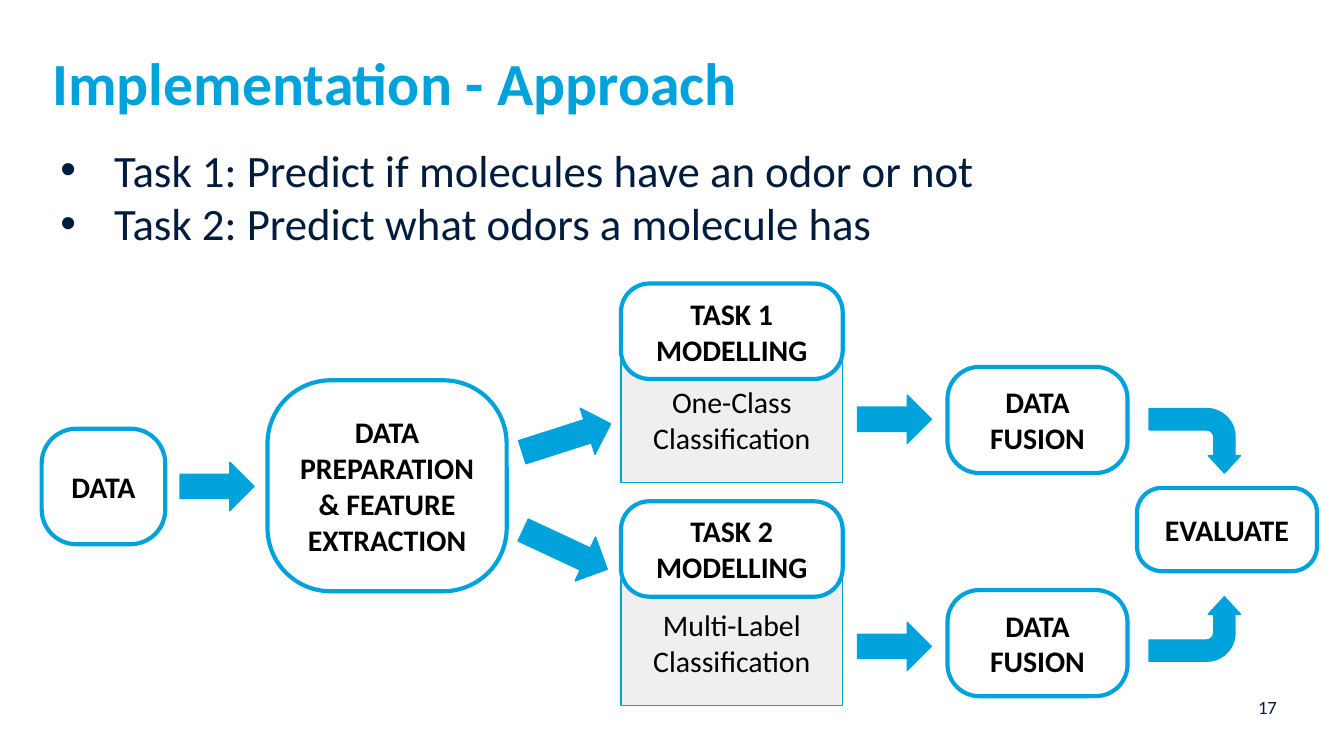
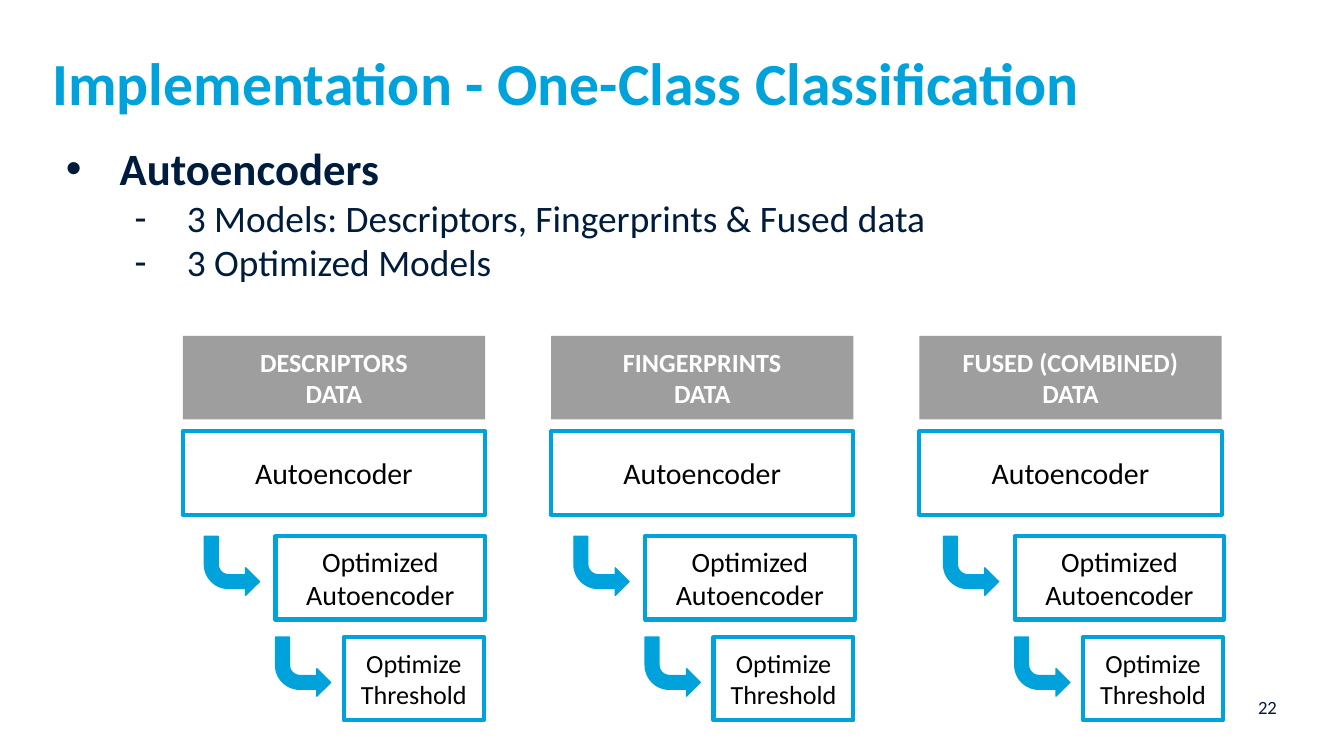
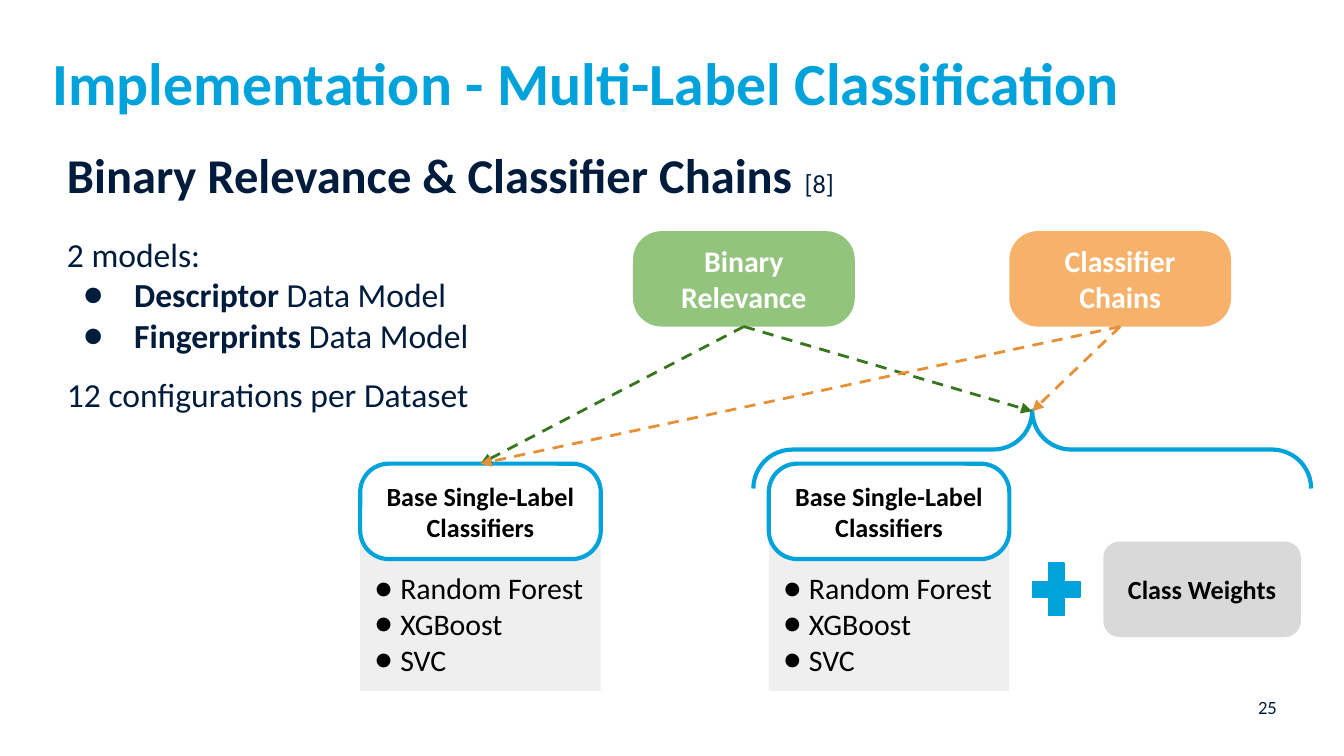
from dataclasses import dataclass

from pptx import Presentation
from pptx.dml.color import RGBColor
from pptx.enum.dml import MSO_LINE
from pptx.enum.shapes import MSO_CONNECTOR, MSO_SHAPE
from pptx.enum.text import MSO_ANCHOR, PP_ALIGN
from pptx.oxml.ns import qn
from pptx.util import Inches, Pt
from lxml.etree import SubElement

FONT = "Calibri"
BULLET_FONTS = {"•": "Arial", "-": "Arial", "●": FONT}
COLORS = {
    "accent": "00A2DB",
    "navy": "001C3D",
    "black": "000000",
    "white": "FFFFFF",
    "pale": "EFEFEF",
    "silver": "D9D9D9",
    "gray": "9E9E9E",
    "green": "93C47D",
    "orange": "F6B26B",
    "dark_green": "38761D",
    "dark_orange": "E69138",
}
ROUNDING = 0.3
BOTTOM, TOP = 2, 0


@dataclass
class Run:
    """A stretch of text in one style."""
    text: str
    size: float
    color: str = "navy"
    bold: bool = False


@dataclass
class Line:
    """A paragraph of runs with its bullet and spacing."""
    runs: list
    bullet: str = ""
    indent: float = 0
    hanging: float = 0
    space_before: float = 0


def rgb(name):
    """Return the named colour."""
    return RGBColor.from_string(COLORS[name])


def add_bullet(paragraph, line):
    """Give a paragraph its bullet and hanging indent."""
    properties = paragraph._p.get_or_add_pPr()
    properties.set("marL", str(Inches(line.indent)))
    properties.set("indent", str(-Inches(line.hanging)))
    color = SubElement(properties, qn("a:buClr"))
    SubElement(color, qn("a:srgbClr")).set("val", COLORS[line.runs[0].color])
    SubElement(properties, qn("a:buFont")).set("typeface", BULLET_FONTS[line.bullet])
    SubElement(properties, qn("a:buChar")).set("char", line.bullet)


def write_lines(shape, lines, alignment, anchor, inset):
    """Fill a shape's text frame with lines."""
    frame = shape.text_frame
    frame.word_wrap = True
    frame.vertical_anchor = anchor
    frame.margin_left = frame.margin_right = Inches(inset)
    frame.margin_top = frame.margin_bottom = Inches(inset)
    for index, line in enumerate(lines):
        paragraph = frame.add_paragraph() if index else frame.paragraphs[0]
        if line.bullet:
            add_bullet(paragraph, line)
        paragraph.alignment = alignment
        if line.space_before:
            paragraph.space_before = Pt(line.space_before)
        for part in line.runs:
            run = paragraph.add_run()
            run.text = part.text
            run.font.name = FONT
            run.font.size = Pt(part.size)
            run.font.bold = part.bold
            run.font.color.rgb = rgb(part.color)


def add_text(slide, box, lines, alignment=PP_ALIGN.LEFT, inset=0):
    """Add a text box."""
    shape = slide.shapes.add_textbox(*map(Inches, box))
    write_lines(shape, lines, alignment, MSO_ANCHOR.TOP, inset)


def add_figure(slide, kind, box, fill=None, line=None, width=0.75, adjustments=()):
    """Add a preset shape with its fill, outline and adjustments."""
    shape = slide.shapes.add_shape(kind, *map(Inches, box))
    shape.shadow.inherit = False
    for index, value in enumerate(adjustments):
        shape.adjustments[index] = value
    if fill:
        shape.fill.solid()
        shape.fill.fore_color.rgb = rgb(fill)
    else:
        shape.fill.background()
    if line:
        shape.line.color.rgb = rgb(line)
        shape.line.width = Pt(width)
    else:
        shape.line.fill.background()
    return shape


def add_label(shape, texts, size, color="black", bold=False):
    """Centre text lines in a shape."""
    lines = [Line([Run(text, size, color, bold)]) for text in texts]
    write_lines(shape, lines, PP_ALIGN.CENTER, MSO_ANCHOR.MIDDLE, 0.1)


def add_stage(slide, box, text, size=16):
    """Add a rounded white box with a bold label."""
    shape = add_figure(slide, MSO_SHAPE.ROUNDED_RECTANGLE, box, "white", "accent", 2.25, [ROUNDING])
    add_label(shape, [text], size, bold=True)
    return shape


def add_step(slide, box, text, size):
    """Add a square-cornered white box with a plain label."""
    shape = add_figure(slide, MSO_SHAPE.RECTANGLE, box, "white", "accent", 2.25)
    add_label(shape, [text], size)


def add_arrow(slide, box, rotation=0):
    """Add a straight block arrow."""
    shape = add_figure(slide, MSO_SHAPE.RIGHT_ARROW, box, "accent", "accent")
    shape.rotation = rotation


def add_bent_arrow(slide, box, rotation, flipped, adjustments):
    """Add a bent block arrow, mirrored if flipped."""
    shape = add_figure(slide, MSO_SHAPE.BENT_ARROW, box, "accent", "accent", adjustments=adjustments)
    shape.rotation = rotation
    if flipped:
        shape._element.spPr.get_or_add_xfrm().set("flipH", "1")


def add_dashed_arrow(slide, source, end, color, target=None):
    """Draw a dashed arrow from a shape's bottom to a point or a shape's top."""
    connector = slide.shapes.add_connector(MSO_CONNECTOR.STRAIGHT, 0, 0, *map(Inches, end))
    connector.begin_connect(source, BOTTOM)
    if target is not None:
        connector.end_connect(target, TOP)
    connector.line.color.rgb = rgb(color)
    connector.line.width = Pt(1.5)
    connector.line.dash_style = MSO_LINE.DASH
    SubElement(connector.line._get_or_add_ln(), qn("a:tailEnd")).set("type", "triangle")
    SubElement(connector._element.spPr, qn("a:effectLst"))


def add_page(presentation, title, number):
    """Add a blank slide with its title and page number."""
    slide = presentation.slides.add_slide(presentation.slide_layouts[6])
    add_text(slide, (0.39, 0.34, 9.11, 0.62), [Line([Run(title, 32, "accent", True)])])
    add_text(slide, (9.09, 5.18, 0.41, 0.3), [Line([Run(str(number), 10)])], PP_ALIGN.RIGHT)
    return slide


def build_approach(presentation):
    """Build the workflow slide."""
    slide = add_page(presentation, "Implementation - Approach", 17)

    branches = [
        ("TASK 1 MODELLING", "One-Class Classification", 2.11, 2.65, 2.94, 2.73, 2.94),
        ("TASK 2 MODELLING", "Multi-Label Classification", 3.73, 4.31, 4.63, 4.39, 4.34),
    ]
    add_stage(slide, (0.31, 3.19, 0.92, 0.86), "DATA")
    add_arrow(slide, (1.34, 3.44, 0.55, 0.36))
    add_stage(slide, (1.99, 2.83, 1.78, 1.57), "DATA PREPARATION & FEATURE EXTRACTION")
    add_arrow(slide, (3.87, 3.08, 0.69, 0.36), 342.2)
    add_arrow(slide, (3.86, 3.91, 0.69, 0.36), 25)
    for index, branch in enumerate(branches):
        task, method, task_top, method_top, arrow_top, fusion_top, bend_top = branch
        panel = add_figure(slide, MSO_SHAPE.RECTANGLE, (4.62, method_top, 1.65, 0.94), "pale", "accent")
        add_label(panel, [method], 16)
        add_stage(slide, (4.62, task_top, 1.65, 0.71), task)
        add_arrow(slide, (6.38, arrow_top, 0.55, 0.36))
        add_stage(slide, (7.05, fusion_top, 1.34, 0.79), "DATA FUSION")
        add_bent_arrow(slide, (8.65, bend_top, 0.48, 0.68), 90, index == 1, [0.33, 0.25, 0.27, 0.44])
    add_stage(slide, (8.46, 3.63, 1.34, 0.62), "EVALUATE")

    tasks = ["Task 1: Predict if molecules have an odor or not",
             "Task 2: Predict what odors a molecule has"]
    add_text(slide, (0.35, 1.06, 9.11, 4.46),
             [Line([Run(task, 24)], "•", 0.5, 0.4) for task in tasks])


def build_one_class(presentation):
    """Build the autoencoder slide."""
    slide = add_page(presentation, "Implementation - One-Class Classification", 22)
    details = ["3 Models: Descriptors, Fingerprints & Fused data", "3 Optimized Models"]
    add_text(slide, (0.39, 1.05, 9.11, 1.13),
             [Line([Run("Autoencoders", 24, bold=True)], "•", 0.5, 0.4)]
             + [Line([Run(detail, 20)], "-", 1, 0.39) for detail in details])

    height = 0.62
    for column, data in enumerate(["DESCRIPTORS", "FINGERPRINTS", "FUSED (COMBINED)"]):
        left = 1.36 + 2.74 * column
        step_left = 2.05 + 2.75 * column
        header = add_figure(slide, MSO_SHAPE.RECTANGLE, (left, 2.5, 2.25, height), "gray")
        add_label(header, [data, "DATA"], 14, "white", True)
        add_step(slide, (left, 3.21, 2.25, height), "Autoencoder", 16)
        add_step(slide, (step_left, 3.99, 1.56, height), "Optimized Autoencoder", 15)
        add_step(slide, (step_left + 0.51, 4.74, 1.04, height), "Optimize Threshold", 14)
        for bend_left, bend_top in [(step_left - 0.53, 3.99), (step_left, 4.74)]:
            add_bent_arrow(slide, (bend_left, bend_top, 0.41, 0.44), 180, True, [0.25, 0.25, 0.25, 0.44])


def add_classifiers(slide, left):
    """Add the list of base classifiers under its heading and return the heading."""
    panel = add_figure(slide, MSO_SHAPE.RECTANGLE, (left, 3.65, 1.79, 1.49), "pale")
    lines = [Line([Run(name, 16, "black")], "●", 0.2, 0.19)
             for name in ["Random Forest", "XGBoost", "SVC"]]
    write_lines(panel, lines, PP_ALIGN.LEFT, MSO_ANCHOR.BOTTOM, 0.1)
    return add_stage(slide, (left, 3.45, 1.79, 0.71), "Base Single-Label Classifiers", 14)


def build_multi_label(presentation):
    """Build the slide on binary relevance and classifier chains."""
    slide = add_page(presentation, "Implementation - Multi-Label Classification", 25)
    models = [Line([Run(name, 18, bold=True), Run(" Data Model", 18)], "●", 0.5, 0.38)
              for name in ["Descriptor", "Fingerprints"]]
    add_text(slide, (0.4, 0.98, 9.11, 1.63), [
        Line([Run("Binary Relevance & Classifier Chains ", 26, bold=True), Run("[8]", 14)]),
        Line([Run("2 models:", 18)], space_before=16.5),
        *models,
        Line([Run("12 configurations per Dataset", 18)], space_before=10),
    ], inset=0.1)

    plain_base = add_classifiers(slide, 2.68)
    add_classifiers(slide, 5.72)
    add_figure(slide, MSO_SHAPE.MATH_PLUS, (7.62, 4.12, 0.48, 0.53), "accent", "accent")
    weights = add_figure(slide, MSO_SHAPE.ROUNDED_RECTANGLE, (8.21, 4.03, 1.47, 0.71), "silver")
    add_label(weights, ["Class Weights"], 14, bold=True)
    brace = add_figure(slide, MSO_SHAPE.LEFT_BRACE, (7.39, 1.27, 0.58, 4.15), None, "accent", 2.25, [0.5, 0.5])
    brace.rotation = 90

    methods = [("Binary Relevance", 4.71, "green", "dark_green"),
               ("Classifier Chains", 7.51, "orange", "dark_orange")]
    for name, left, fill, arrow_color in methods:
        method = add_figure(slide, MSO_SHAPE.ROUNDED_RECTANGLE, (left, 1.72, 1.65, 0.71), fill,
                            adjustments=[ROUNDING])
        add_label(method, [name], 16, "white", True)
        add_dashed_arrow(slide, method, (3.57, 3.45), arrow_color, plain_base)
        add_dashed_arrow(slide, method, (7.68, 3.06), arrow_color)


def main():
    """Build and save the presentation."""
    presentation = Presentation()
    presentation.slide_width = Inches(10)
    presentation.slide_height = Inches(10) * 9 // 16
    build_approach(presentation)
    build_one_class(presentation)
    build_multi_label(presentation)
    presentation.save("out.pptx")


if __name__ == "__main__":
    main()
